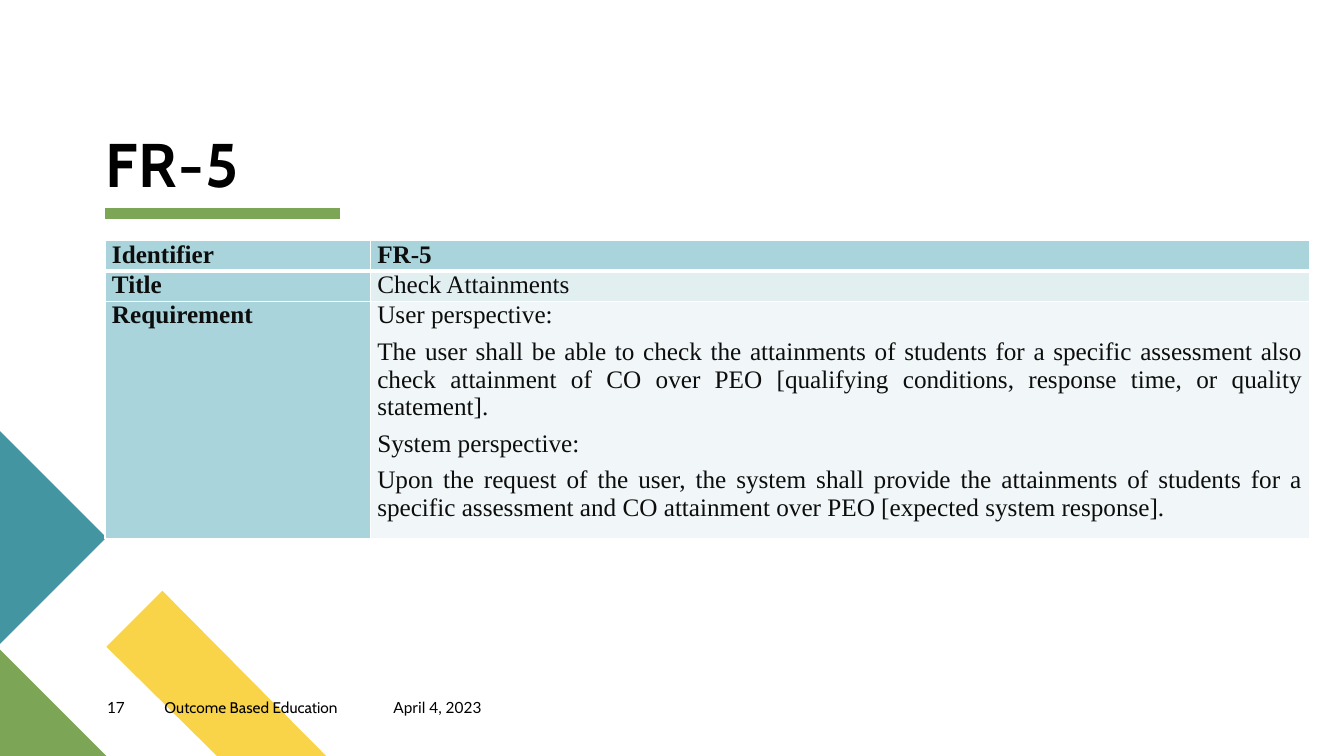
from lxml import etree
from pptx import Presentation
from pptx.dml.color import RGBColor
from pptx.enum.shapes import MSO_CONNECTOR
from pptx.enum.text import MSO_ANCHOR, PP_ALIGN
from pptx.oxml.ns import qn
from pptx.util import Pt

STRAIGHT = MSO_CONNECTOR.STRAIGHT
TOP, BOTTOM = MSO_ANCHOR.TOP, MSO_ANCHOR.BOTTOM
LEFT, JUSTIFY = PP_ALIGN.LEFT, PP_ALIGN.JUSTIFY

YELLOW = RGBColor(0xF9, 0xD4, 0x48)
GREEN = RGBColor(0x7C, 0xA6, 0x55)
TEAL = RGBColor(0x44, 0x95, 0xA2)
BLACK = RGBColor(0, 0, 0)
WHITE = RGBColor(0xFF, 0xFF, 0xFF)
INK = RGBColor(0x0D, 0x0D, 0x0D)
LABEL_FILL = RGBColor(0xA9, 0xD4, 0xDB)
TITLE_FILL = RGBColor(0xE2, 0xEF, 0xF1)
DETAIL_FILL = RGBColor(0xF1, 0xF7, 0xF8)

REQUIREMENT = [
    "User perspective:",
    "The user shall be able to check the attainments of students for a specific "
    "assessment also check attainment of CO over PEO [qualifying conditions, "
    "response time, or quality statement].",
    "System perspective:",
    "Upon the request of the user, the system shall provide the attainments of "
    "students for a specific assessment and CO attainment over PEO "
    "[expected system response].",
]
ROWS = [
    ("Identifier", ["FR-5"], LABEL_FILL, True),
    ("Title", ["Check Attainments"], TITLE_FILL, False),
    ("Requirement", REQUIREMENT, DETAIL_FILL, False),
]


class SlideBuilder:
    def __init__(self, slide):
        self.slide = slide
        self.label_font = {"name": "Lato", "size": Pt(11), "bold": False}
        self.title_font = {"name": "Cabin", "size": Pt(44), "bold": True}
        self.table_font = {"name": "Times New Roman", "size": Pt(18)}

    def add_words(self, paragraph, text, color, font_format, **paragraph_format):
        run = paragraph.add_run()
        run.text = text
        run.font.color.rgb = color
        for name, value in font_format.items():
            setattr(run.font, name, value)
        for name, value in paragraph_format.items():
            setattr(paragraph, name, value)
        return run

    def polygon(self, points, color):
        builder = self.slide.shapes.build_freeform(*points[0], scale=Pt(1))
        builder.add_line_segments(points[1:], close=True)
        shape = builder.convert_to_shape()
        shape.shadow.inherit = False
        shape.fill.solid()
        shape.fill.fore_color.rgb = color
        shape.line.fill.background()

    def rule(self, left, right, top, width, color):
        connector = self.slide.shapes.add_connector(
            STRAIGHT, Pt(left), Pt(top), Pt(right), Pt(top))
        connector.line.color.rgb = color
        connector.line.width = Pt(width)
        properties = connector._element.spPr
        etree.SubElement(properties, qn("a:effectLst"))

    def text(self, box, text, font_format, anchor=TOP, **paragraph_format):
        shape = self.slide.shapes.add_textbox(*map(Pt, box))
        frame_format = {"word_wrap": True, "vertical_anchor": anchor,
                        "margin_left": 0, "margin_right": 0,
                        "margin_top": 0, "margin_bottom": 0}
        for name, value in frame_format.items():
            setattr(shape.text_frame, name, value)
        return self.add_words(shape.text_frame.paragraphs[0], text, BLACK,
                              font_format, alignment=LEFT, **paragraph_format)

    def title(self, box, text):
        run = self.text(box, text, self.title_font, BOTTOM, line_spacing=0.9)
        run._r.get_or_add_rPr().set("spc", "100")

    def borders(self, cell, widths):
        properties = cell._tc.get_or_add_tcPr()
        for index, (side, width) in enumerate(widths.items()):
            line = etree.Element(qn("a:ln" + side), w=str(Pt(width)))
            fill = etree.SubElement(line, qn("a:solidFill"))
            etree.SubElement(fill, qn("a:srgbClr"), val=str(WHITE))
            properties.insert(index, line)

    def cell(self, cell, texts, fill, bold, space_after, widths):
        margins = {"margin_left": Pt(5), "margin_right": Pt(5),
                   "margin_top": 0, "margin_bottom": 0}
        for name, value in margins.items():
            setattr(cell, name, value)
        cell.fill.solid()
        cell.fill.fore_color.rgb = fill
        self.borders(cell, widths)
        frame = cell.text_frame
        for index, text in enumerate(texts):
            paragraph = frame.add_paragraph() if index else frame.paragraphs[0]
            self.add_words(paragraph, text, INK, {**self.table_font, "bold": bold},
                           alignment=JUSTIFY, space_after=Pt(space_after))

    def table(self, left, top, column_widths, row_heights, rows):
        table = self.slide.shapes.add_table(
            len(rows), len(column_widths), Pt(left), Pt(top),
            Pt(sum(column_widths)), Pt(sum(row_heights))).table
        table.first_row = table.horz_banding = False
        for column, width in zip(table.columns, column_widths):
            column.width = Pt(width)
        for index, (label, texts, fill, bold) in enumerate(rows):
            table.rows[index].height = Pt(row_heights[index])
            widths = {"L": 1, "R": 1, "T": 3 if index == 1 else 1,
                      "B": 3 if index == 0 else 1}
            self.cell(table.cell(index, 0), [label], LABEL_FILL, True, 0, widths)
            self.cell(table.cell(index, 1), texts, fill, bold, 6, widths)


def main():
    presentation = Presentation()
    presentation.slide_width, presentation.slide_height = Pt(960), Pt(540)
    slide = presentation.slides.add_slide(presentation.slide_layouts[6])
    builder = SlideBuilder(slide)

    builder.polygon([(233, 540), (155, 540), (76.5, 461.5), (116, 422.5)], YELLOW)
    builder.polygon([(76.5, 540), (0, 540), (0, 463.5)], GREEN)
    builder.polygon([(0, 307.5), (76.5, 384), (0, 460.5)], TEAL)
    builder.rule(75, 243, 152.75, 8, GREEN)
    builder.title((75, 95, 389, 48.25), "FR-5")

    builder.text((281, 498.5, 104, 19), "April 4, 2023", builder.label_font)
    builder.text((117.5, 499, 130, 19), "Outcome Based Education",
                 {**builder.label_font, "name": "Cabin"})
    builder.text((76.5, 498.5, 41, 19), "17", builder.label_font)

    builder.table(75, 172, [189.5, 671], [20, 20, 157.5], ROWS)
    presentation.save("out.pptx")


if __name__ == "__main__":
    main()
